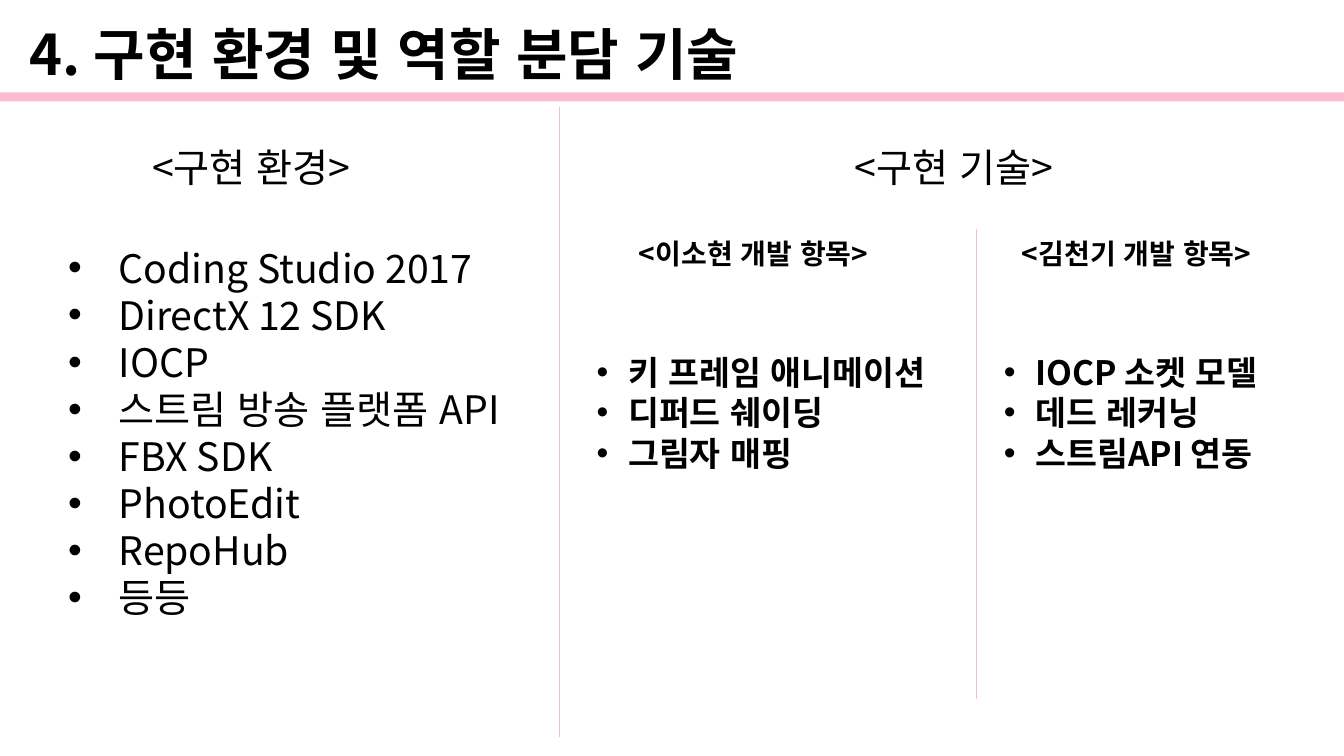
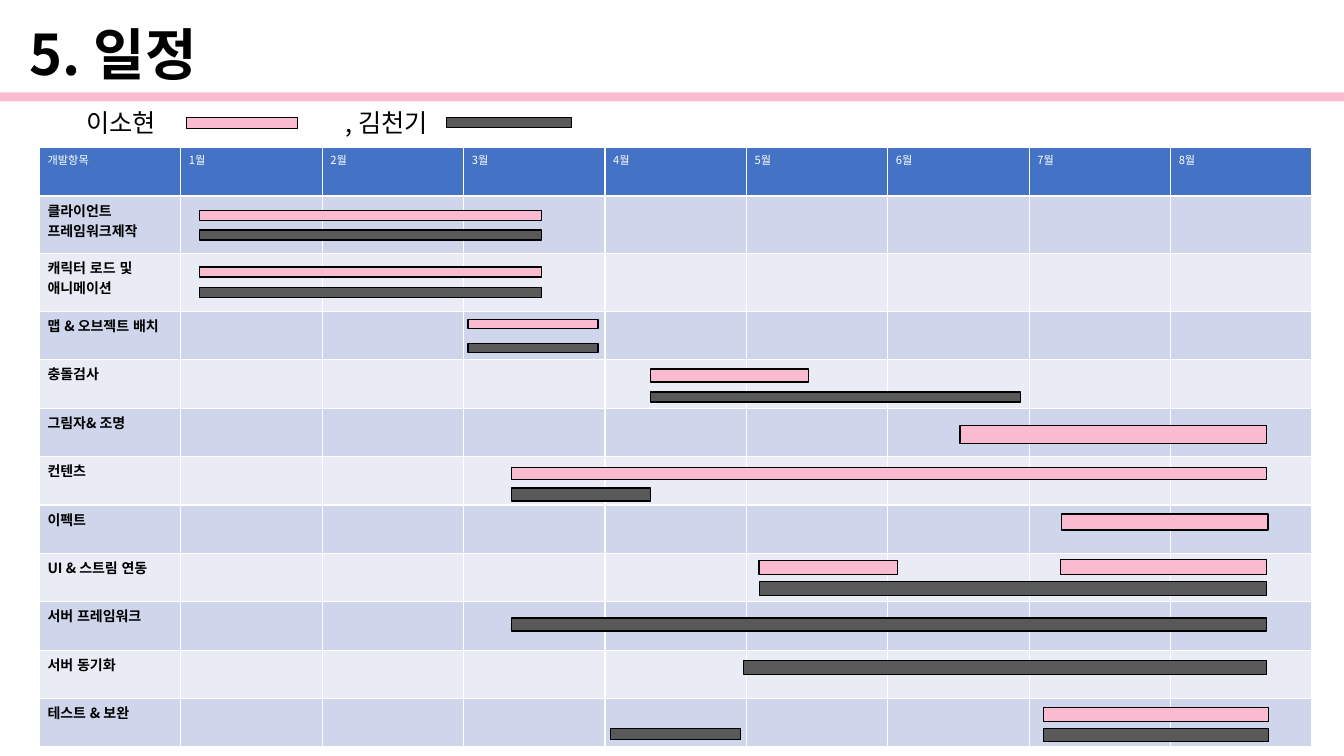
"""Build two project slides: environment and roles, then the schedule."""
from lxml import etree
from pptx import Presentation
from pptx import util as u
from pptx.dml.color import RGBColor
from pptx.enum import lang, shapes, text
from pptx.oxml.ns import qn

Pt = u.Pt
FONT = "Noto Sans CJK KR"
PINK, DARK, BLACK, WHITE = "FABACF", "595959", "000000", "FFFFFF"
HEADER, BANDS = "4472C4", ("CFD5EA", "E9EBF5")
TITLE_ONLY, COMPARISON = 5, 4

ENV_TITLE = "4. 구현 환경 및 역할 분담 기술"
HEADINGS = [
    ("<구현 환경>", (101.5, 98.6, 290, 41), 28, False),
    ("<구현 기술>", (603.4, 98.6, 290, 41), 28, False),
    ("<이소현 개발 항목>", (449.3, 165.6, 248, 32), 20, True),
    ("<김천기 개발 항목>", (722.9, 165.6, 205, 32), 20, True),
]
LISTS = [
    (1, ["Coding Studio 2017", "DirectX 12 SDK", "IOCP", "스트림 방송 플랫폼 API",
         "FBX SDK", "PhotoEdit", "RepoHub", "등등"],
     (41.5, 170.6, 350, 279), 28, False, 36),
    (2, ["키 프레임 애니메이션", "디퍼드 쉐이딩", "그림자 매핑"],
     (419, 247.7, 279, 94), 24, True, 22.5),
    (4, ["IOCP 소켓 모델", "데드 레커닝", "스트림API 연동"],
     (709.9, 247.7, 240, 94), 24, True, 22.5),
]
DIVIDERS = [(399.6, 76.3, 526.3), (697.7, 163.4, 499)]

PLAN_TITLE = "5. 일정"
LEGEND_NAMES = [("이소현", (54.7, 73.4, 72, 29)), (", 김천기", (239.8, 73.4, 100, 29))]
LEGEND_BARS = [(PINK, (133.2, 84, 79.2, 7.9)), (DARK, (319, 84, 89.3, 7.2))]
MONTHS = ["개발항목"] + [f"{m}월" for m in range(1, 9)]
TASKS = [
    (["클라이언트", "프레임워크제작"],
     [(PINK, 0.13, 2.55, 10.5, 7.2), (DARK, 0.13, 2.55, 24.2, 7.2)]),
    (["캐릭터 로드 및", "애니메이션"],
     [(PINK, 0.13, 2.55, 9.6, 7.2), (DARK, 0.13, 2.55, 24, 7.2)]),
    (["맵 & 오브젝트 배치"],
     [(PINK, 2.03, 2.95, 5.8, 6.5), (DARK, 2.03, 2.95, 23.1, 6.5)]),
    (["충돌검사"],
     [(PINK, 3.32, 4.44, 6.5, 9.4), (DARK, 3.32, 5.94, 23.1, 7.2)]),
    (["그림자& 조명"], [(PINK, 5.51, 7.68, 12.2, 13)]),
    (["컨텐츠"],
     [(PINK, 2.34, 7.68, 7.9, 8.6), (DARK, 2.34, 3.32, 22.3, 9.4)]),
    (["이펙트"], [(PINK, 6.23, 7.69, 6.4, 11.5)]),
    (["UI & 스트림 연동"],
     [(PINK, 4.09, 5.07, 4.9, 10), (PINK, 6.22, 7.68, 4.2, 10.8),
      (DARK, 4.09, 7.68, 20, 10)]),
    (["서버 프레임워크"], [(DARK, 2.34, 7.68, 11.4, 9.4)]),
    (["서버 동기화"], [(DARK, 3.98, 7.68, 7.4, 10)]),
    (["테스트 & 보완"],
     [(PINK, 6.1, 7.69, 6.2, 10), (DARK, 6.1, 7.69, 21.2, 9.4),
      (DARK, 3.04, 3.96, 21.2, 7.9)]),
]
TABLE_LEFT, TABLE_TOP, COL_WIDTH = 28.2, 105.4, 101
ROW_HEIGHT, TALL_ROW = 34.6, 41.2


def rgb(value):
    return RGBColor.from_string(value)


def add_run(p, words, size, color=BLACK, bold=False):
    r = p.add_run()
    r.text = words
    r.font.size, r.font.bold, r.font.name = Pt(size), bold, FONT
    r.font.color.rgb = rgb(color)
    r.font.language_id = lang.MSO_LANGUAGE_ID.KOREAN
    etree.SubElement(r._r.get_or_add_rPr(), qn("a:ea"), typeface=FONT)


def add_bullet(p, indent):
    pPr = p._p.get_or_add_pPr()
    pPr.set("marL", str(Pt(indent)))
    pPr.set("indent", str(-Pt(indent)))
    etree.SubElement(pPr, qn("a:buFont"), typeface="Arial")
    etree.SubElement(pPr, qn("a:buChar"), char="•")


def place(sp, box):
    sp.left, sp.top, sp.width, sp.height = map(Pt, box)


def write(sp, lines, size, bold=False, indent=None):
    tf = sp.text_frame
    tf.word_wrap = True
    tf.auto_size = text.MSO_AUTO_SIZE.NONE
    tf.vertical_anchor = text.MSO_ANCHOR.TOP
    tf.margin_left = tf.margin_right = Pt(7.2)
    tf.margin_top = tf.margin_bottom = Pt(3.6)
    for i, line in enumerate(lines):
        p = tf.add_paragraph() if i else tf.paragraphs[0]
        if indent:
            add_bullet(p, indent)
        p.alignment = text.PP_ALIGN.LEFT
        p.space_before = p.space_after = Pt(0)
        add_run(p, line, size, bold=bold)


def add_label(s, words, box, size, bold=False):
    write(s.shapes.add_textbox(*map(Pt, box)), [words], size, bold)


def add_bar(s, box, fill, line=BLACK):
    sp = s.shapes.add_shape(shapes.MSO_SHAPE.RECTANGLE, *map(Pt, box))
    sp.shadow.inherit = False
    sp.fill.solid()
    sp.fill.fore_color.rgb = rgb(fill)
    if line:
        sp.line.color.rgb = rgb(line)
        sp.line.width = Pt(1)
    else:
        sp.line.fill.background()


def add_divider(s, x, top, bottom):
    line = s.shapes.add_connector(shapes.MSO_CONNECTOR.STRAIGHT,
                                  Pt(x), Pt(top), Pt(x), Pt(bottom))
    line.line.color.rgb = rgb(PINK)
    line.line.width = Pt(0.5)
    etree.SubElement(line._element.spPr, qn("a:effectLst"))


def new_slide(prs, layout, title):
    s = prs.slides.add_slide(prs.slide_layouts[layout])
    add_bar(s, (0, 66, 960, 6.5), PINK, line=None)
    place(s.shapes.title, (14.1, 10.1, 900, 55.4))
    write(s.shapes.title, [title], 40, bold=True)
    return s


def style_cell(cell, fill):
    tcPr = cell._tc.get_or_add_tcPr()
    for side in "LRTB":
        ln = etree.SubElement(tcPr, qn(f"a:ln{side}"), w=str(Pt(1)))
        solid = etree.SubElement(ln, qn("a:solidFill"))
        etree.SubElement(solid, qn("a:srgbClr"), val=WHITE)
    cell.fill.solid()
    cell.fill.fore_color.rgb = rgb(fill)
    cell.margin_left = cell.margin_right = Pt(5.8)
    cell.margin_top = cell.margin_bottom = Pt(2.9)


def environment_slide(prs):
    s = new_slide(prs, COMPARISON, ENV_TITLE)
    bodies = {ph.placeholder_format.idx: ph for ph in s.placeholders}
    for idx, items, box, size, bold, indent in LISTS:
        place(bodies[idx], box)
        write(bodies[idx], items, size, bold, indent)
    spare = bodies[3]._element
    spare.getparent().remove(spare)
    for heading in HEADINGS:
        add_label(s, *heading)
    for divider in DIVIDERS:
        add_divider(s, *divider)


def schedule_slide(prs):
    s = new_slide(prs, TITLE_ONLY, PLAN_TITLE)
    heights = [ROW_HEIGHT] + [TALL_ROW if len(names) > 1 else ROW_HEIGHT for names, _ in TASKS]
    table = s.shapes.add_table(len(heights), len(MONTHS), Pt(TABLE_LEFT), Pt(TABLE_TOP),
                               Pt(COL_WIDTH * len(MONTHS)), Pt(sum(heights))).table
    for col in table.columns:
        col.width = Pt(COL_WIDTH)
    for row, height in zip(table.rows, heights):
        row.height = Pt(height)
    for c, month in enumerate(MONTHS):
        style_cell(table.cell(0, c), HEADER)
        add_run(table.cell(0, c).text_frame.paragraphs[0], month, 8, WHITE)
    for i, (names, bars) in enumerate(TASKS):
        for c in range(len(MONTHS)):
            style_cell(table.cell(i + 1, c), BANDS[i % 2])
        tf = table.cell(i + 1, 0).text_frame
        for n, name in enumerate(names):
            add_run(tf.add_paragraph() if n else tf.paragraphs[0], name, 10, bold=True)
        top = TABLE_TOP + sum(heights[:i + 1])
        for color, start, end, offset, height in bars:
            left = TABLE_LEFT + COL_WIDTH * (1 + start)
            add_bar(s, (left, top + offset, COL_WIDTH * (end - start), height), color)
    for color, box in LEGEND_BARS:
        add_bar(s, box, color)
    for name, box in LEGEND_NAMES:
        add_label(s, name, box, 18)


def main():
    prs = Presentation()
    prs.slide_width, prs.slide_height = Pt(960), Pt(540)
    environment_slide(prs)
    schedule_slide(prs)
    prs.save("out.pptx")


if __name__ == "__main__":
    main()
